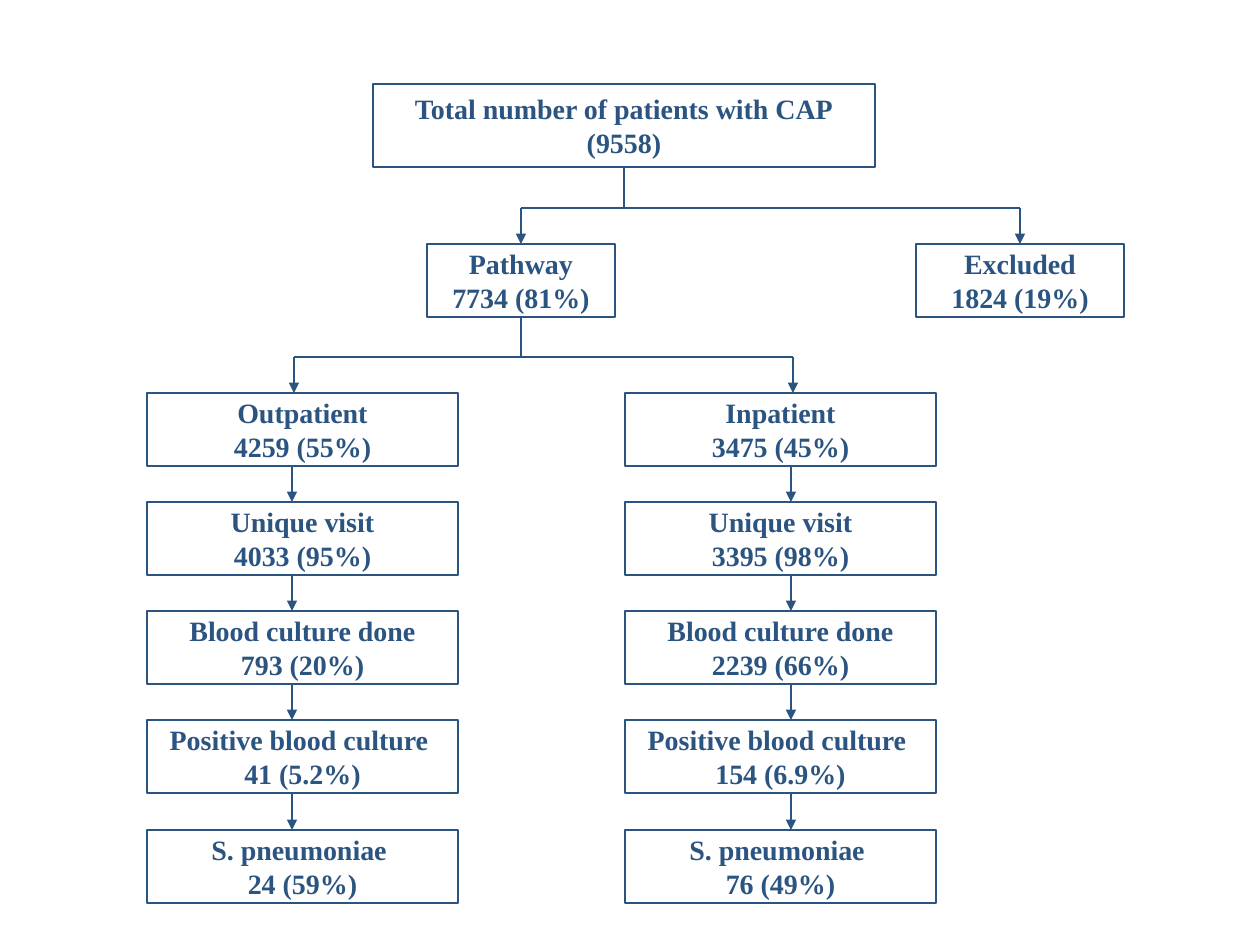
from dataclasses import dataclass

from lxml import etree
from pptx import Presentation
from pptx import util as u
from pptx.dml.color import RGBColor
from pptx.enum import shapes, text
from pptx.oxml.ns import qn

PX = 914400 / 126
BLUE, WHITE = "2B5481", "FFFFFF"
TOP, BOTTOM = 0, 2
BOX_H = 73
COLUMN_W = 311
COLUMN_TOP = 393
FORK_1, FORK_2 = 208, 357


@dataclass
class Box:
    x: int
    y: int
    w: int
    h: int
    label: str
    count: str


@dataclass
class Branch:
    x: int
    fork_x: int
    arrow_x: int
    steps: list[tuple[str, str]]


TOTAL = Box(373, 84, 502, 83, "Total number of patients with CAP", "(9558)")
PATHWAY = Box(427, 244, 188, BOX_H, "Pathway", "7734 (81%)")
EXCLUDED = Box(916, 244, 208, BOX_H, "Excluded", "1824 (19%)")

LATER_STEPS = ["Unique visit", "Blood culture done", "Positive blood culture ", "S. pneumoniae "]


def steps(first: str, *counts: str) -> list[tuple[str, str]]:
    return list(zip([first] + LATER_STEPS, counts))


BRANCHES = [
    Branch(147, 294, 292, steps("Outpatient", "4259 (55%)", "4033 (95%)", "793 (20%)",
                                "41 (5.2%)", "24 (59%)")),
    Branch(625, 793, 791, steps("Inpatient", "3475 (45%)", "3395 (98%)", "2239 (66%)",
                                "154 (6.9%)", "76 (49%)")),
]


def px(n: int) -> u.Emu:
    return u.Emu(round(n * PX))


def rgb(value: str) -> RGBColor:
    return RGBColor.from_string(value)


def row_top(row: int) -> int:
    """Top of a column box; rows repeat every 109.25 px."""
    return COLUMN_TOP + row * 437 // 4


def write(tf, lines, size=16, font="Times New Roman", color=BLUE, bold=True):
    tf.word_wrap = True
    tf.vertical_anchor = text.MSO_ANCHOR.MIDDLE
    for i, line in enumerate(lines):
        p = tf.paragraphs[0] if i == 0 else tf.add_paragraph()
        p.alignment = text.PP_ALIGN.CENTER
        r = p.add_run()
        r.text = line
        r.font.size = u.Pt(size)
        r.font.name = font
        r.font.bold = bold
        r.font.color.rgb = rgb(color)


def add_box(slide, box: Box):
    sp = slide.shapes.add_shape(shapes.MSO_SHAPE.FLOWCHART_PROCESS,
                                px(box.x), px(box.y), px(box.w), px(box.h))
    sp.shadow.inherit = False
    sp.fill.solid()
    sp.fill.fore_color.rgb = rgb(WHITE)
    sp.line.color.rgb = rgb(BLUE)
    sp.line.width = u.Pt(0.75)
    write(sp.text_frame, [box.label, box.count])
    return sp


def add_line(slide, x1: int, y1: int, x2: int, y2: int, arrow: bool = False):
    line = slide.shapes.add_connector(shapes.MSO_CONNECTOR.STRAIGHT,
                                      px(x1), px(y1), px(x2), px(y2))
    line.line.color.rgb = rgb(BLUE)
    line.line.width = u.Pt(0.75)
    if arrow:
        etree.SubElement(line.line._get_or_add_ln(), qn("a:tailEnd"), type="triangle")
    etree.SubElement(line._element.spPr, qn("a:effectLst"))
    return line


def add_branch(slide, branch: Branch):
    add_line(slide, branch.fork_x, FORK_2, branch.fork_x, COLUMN_TOP, arrow=True)
    for row, (label, count) in enumerate(branch.steps):
        y = row_top(row)
        add_box(slide, Box(branch.x, y, COLUMN_W, BOX_H, label, count))
        if row:
            add_line(slide, branch.arrow_x, row_top(row - 1) + BOX_H, branch.arrow_x, y,
                     arrow=True)


def main():
    prs = Presentation()
    prs.slide_width, prs.slide_height = u.Inches(10), u.Inches(7.5)
    slide = prs.slides.add_slide(prs.slide_layouts[6])

    total, pathway, excluded = (add_box(slide, b) for b in (TOTAL, PATHWAY, EXCLUDED))
    centres = [b.x + b.w // 2 for b in (TOTAL, PATHWAY, EXCLUDED)]
    total_x, pathway_x, excluded_x = centres

    add_line(slide, total_x, 167, total_x, FORK_1).begin_connect(total, BOTTOM)
    add_line(slide, pathway_x, FORK_1, excluded_x, FORK_1)
    for sp, x in ((pathway, pathway_x), (excluded, excluded_x)):
        add_line(slide, x, FORK_1, x, PATHWAY.y, arrow=True).end_connect(sp, TOP)

    add_line(slide, pathway_x, PATHWAY.y + BOX_H, pathway_x, FORK_2).begin_connect(pathway, BOTTOM)
    add_line(slide, BRANCHES[0].fork_x, FORK_2, BRANCHES[1].fork_x, FORK_2)
    for branch in BRANCHES:
        add_branch(slide, branch)

    prs.save("out.pptx")


if __name__ == "__main__":
    main()
